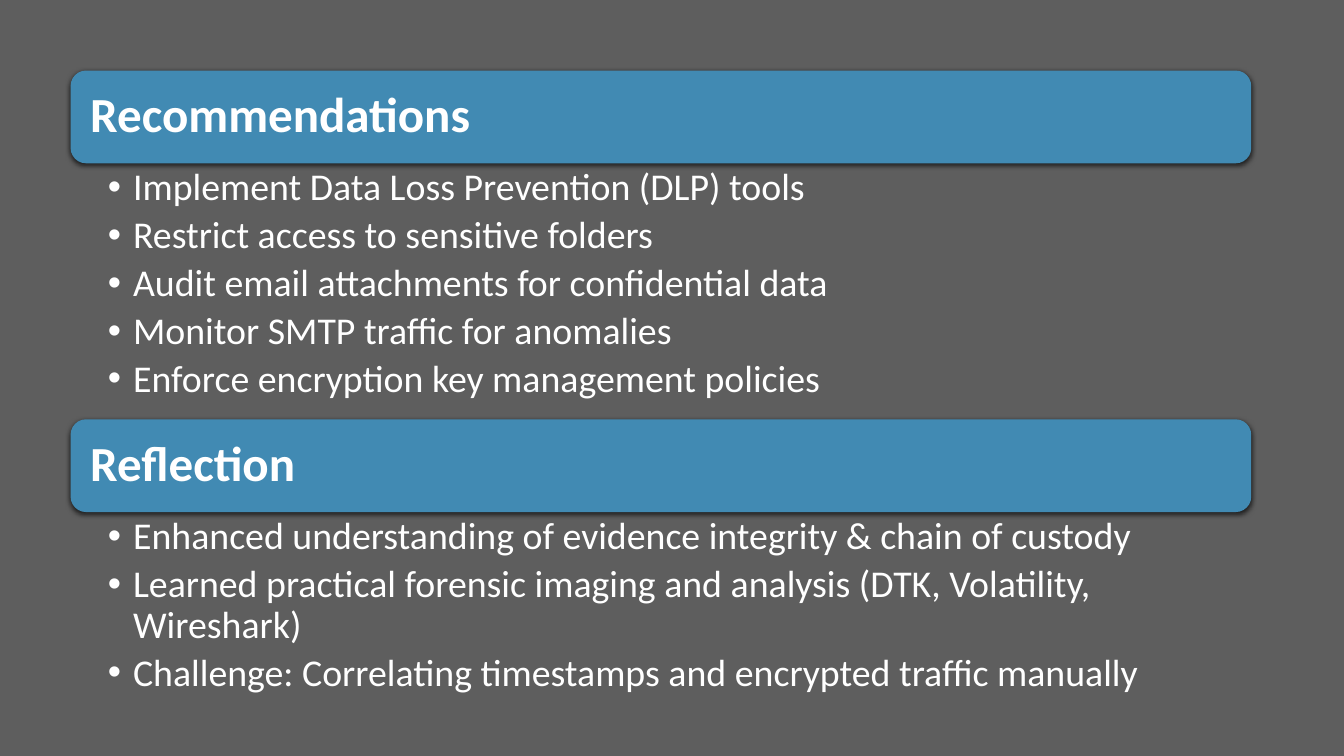
from lxml import etree
from pptx import Presentation
from pptx.dml.color import RGBColor
from pptx.enum.shapes import MSO_SHAPE
from pptx.enum.text import MSO_ANCHOR, PP_ALIGN
from pptx.oxml import parse_xml
from pptx.oxml.ns import qn
from pptx.util import Inches, Pt

ROUNDED = MSO_SHAPE.ROUNDED_RECTANGLE
MIDDLE, TOP = MSO_ANCHOR.MIDDLE, MSO_ANCHOR.TOP
LEFT = PP_ALIGN.LEFT

BACKGROUND, BLUE, WHITE = "5E5E5E", "418AB3", "FFFFFF"
SECTION_LEFT, SECTION_WIDTH, HEADER_HEIGHT = 0.7, 11.71, 0.92
HEADING_FONT = {"name": "Calibri", "size": Pt(35), "bold": True}
BULLET_FONT = {"name": "Calibri", "size": Pt(27), "bold": False}
SHADOW = (
    '<a:effectLst xmlns:a="http://schemas.openxmlformats.org/drawingml/2006/main">'
    '<a:outerShdw blurRad="50800" dist="15240" dir="5400000" rotWithShape="0">'
    '<a:srgbClr val="000000"><a:alpha val="68000"/></a:srgbClr>'
    "</a:outerShdw></a:effectLst>"
)

# top of the header, height of the bullet list, heading, bullets
SECTIONS = [
    (0.7, 2.54, "Recommendations", [
        "Implement Data Loss Prevention (DLP) tools",
        "Restrict access to sensitive folders",
        "Audit email attachments for confidential data",
        "Monitor SMTP traffic for anomalies",
        "Enforce encryption key management policies",
    ]),
    (4.16, 1.94, "Reflection", [
        "Enhanced understanding of evidence integrity & chain of custody",
        "Learned practical forensic imaging and analysis (DTK, Volatility, Wireshark)",
        "Challenge: Correlating timestamps and encrypted traffic manually",
    ]),
]


def color(value):
    return RGBColor.from_string(value)


def set_values(target, values):
    for name, value in values.items():
        setattr(target, name, value)


def set_frame(frame, anchor, left, top, right, bottom):
    set_values(frame, {
        "word_wrap": True,
        "vertical_anchor": anchor,
        "margin_left": Inches(left),
        "margin_top": Inches(top),
        "margin_right": Inches(right),
        "margin_bottom": Inches(bottom),
    })


def write(para, text, font):
    set_values(para, {"alignment": LEFT, "line_spacing": 0.9})
    span = para.add_run()
    span.text = text
    set_values(span.font, font)
    span.font.color.rgb = color(WHITE)


def add_bullet(para):
    properties = para._p.get_or_add_pPr()
    properties.set("marL", str(Inches(0.25)))
    properties.set("indent", str(Inches(-0.25)))
    etree.SubElement(properties, qn("a:buFont")).set("typeface", "Arial")
    etree.SubElement(properties, qn("a:buChar")).set("char", "•")


def add_header(page, top, heading):
    box = page.shapes.add_shape(
        ROUNDED, Inches(SECTION_LEFT), Inches(top),
        Inches(SECTION_WIDTH), Inches(HEADER_HEIGHT))
    box.fill.solid()
    box.fill.fore_color.rgb = color(BLUE)
    box.line.fill.background()
    box._element.spPr.append(parse_xml(SHADOW))
    # The rounded corners already inset the text by about 0.04 inches.
    set_frame(box.text_frame, MIDDLE, 0.15, 0.15, 0.15, 0.15)
    write(box.text_frame.paragraphs[0], heading, HEADING_FONT)


def add_bullet_list(page, top, height, bullets):
    box = page.shapes.add_textbox(
        Inches(SECTION_LEFT), Inches(top), Inches(SECTION_WIDTH), Inches(height))
    frame = box.text_frame
    set_frame(frame, TOP, 0.37, 0.05, 0.27, 0.05)
    for index, bullet in enumerate(bullets):
        para = frame.add_paragraph() if index else frame.paragraphs[0]
        add_bullet(para)
        set_values(para, {"level": 1, "space_after": Pt(5)})
        write(para, bullet, BULLET_FONT)


def main():
    deck = Presentation()
    deck.slide_width, deck.slide_height = Inches(13.33), Inches(7.5)
    page = deck.slides.add_slide(deck.slide_layouts[6])
    page.background.fill.solid()
    page.background.fill.fore_color.rgb = color(BACKGROUND)
    for top, height, heading, bullets in SECTIONS:
        add_header(page, top, heading)
        add_bullet_list(page, top + HEADER_HEIGHT, height, bullets)
    deck.save("out.pptx")


if __name__ == "__main__":
    main()
